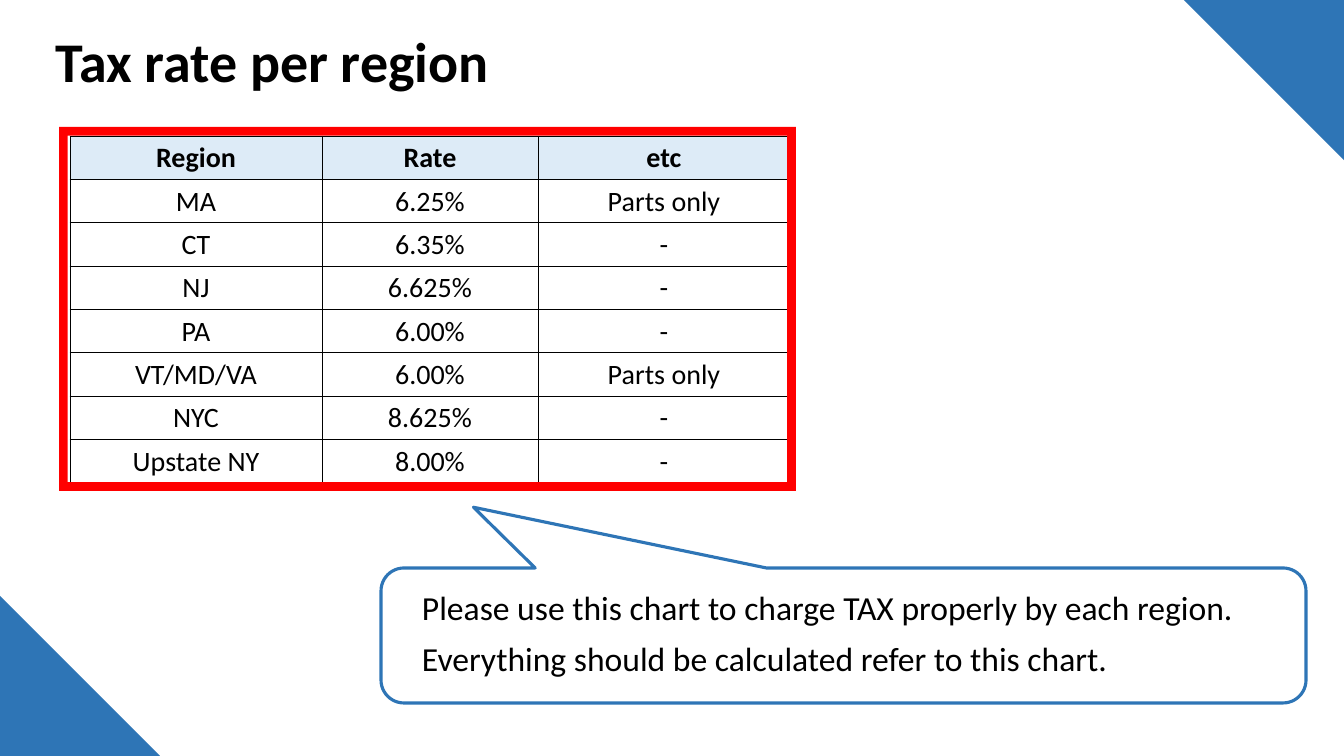
from lxml import etree
from pptx import Presentation
from pptx.dml.color import RGBColor
from pptx.enum.shapes import MSO_SHAPE
from pptx.enum.text import MSO_ANCHOR, PP_ALIGN
from pptx.oxml.ns import qn
from pptx.util import Pt

PX = 914400 / 100.8
MIDDLE, TOP = MSO_ANCHOR.MIDDLE, MSO_ANCHOR.TOP
CENTER = PP_ALIGN.CENTER
TRIANGLE, FRAME = MSO_SHAPE.RIGHT_TRIANGLE, MSO_SHAPE.FRAME
CALLOUT = MSO_SHAPE.ROUNDED_RECTANGULAR_CALLOUT
BLUE, RED, BLACK = "2E75B6", "FF0000", "000000"


def px(*lengths):
    return [round(n * PX) for n in lengths]


def add_run(p, text, size, bold=False):
    r = p.add_run()
    r.text = text
    r.font.name, r.font.size, r.font.bold = "Calibri", Pt(size), bold
    r.font.color.rgb = RGBColor.from_string(BLACK)


prs = Presentation()
prs.slide_width, prs.slide_height = px(1344, 756)
s = prs.slides.add_slide(prs.slide_layouts[6])

# Corner triangles, callout outline and red frame
shapes = [
    (TRIANGLE, (1184, 0, 160, 160), 180, [], BLUE, None),
    (TRIANGLE, (0, 596, 160, 160), 0, [], BLUE, None),
    (CALLOUT, (381, 568, 925, 135), 0, [-0.4, -0.95, 0.17], None, BLUE),
    (FRAME, (59, 127, 737, 364), 0, [0.024], RED, None),
]
for kind, box, rotation, adjustments, fill, line in shapes:
    sp = s.shapes.add_shape(kind, *px(*box))
    sp.shadow.inherit = False
    sp.rotation = rotation
    for i, value in enumerate(adjustments):
        sp.adjustments[i] = value
    if fill:
        sp.fill.solid()
        sp.fill.fore_color.rgb = RGBColor.from_string(fill)
    else:
        sp.fill.background()
    if line:
        sp.line.color.rgb = RGBColor.from_string(line)
        sp.line.width = Pt(2.25)
    else:
        sp.line.fill.background()
frame = sp

# Title and callout message
texts = [
    ((46, 26, 1052, 77), MIDDLE, 40, True, 0, ["Tax rate per region"]),
    ((412, 587, 862, 141), TOP, 24, False, 10, [
        "Please use this chart to charge TAX properly by each region.",
        "Everything should be calculated refer to this chart."]),
]
for box, anchor, size, bold, space, lines in texts:
    tf = s.shapes.add_textbox(*px(*box)).text_frame
    tf.word_wrap = True
    tf.vertical_anchor = anchor
    for i, text in enumerate(lines):
        p = tf.add_paragraph() if i else tf.paragraphs[0]
        p.line_spacing = 0.9
        p.space_before = Pt(space)
        add_run(p, text, size, bold)

# Tax table
rows = [
    ("Region", "Rate", "etc"),
    ("MA", "6.25%", "Parts only"),
    ("CT", "6.35%", "-"),
    ("NJ", "6.625%", "-"),
    ("PA", "6.00%", "-"),
    ("VT/MD/VA", "6.00%", "Parts only"),
    ("NYC", "8.625%", "-"),
    ("Upstate NY", "8.00%", "-"),
]
graphic = s.shapes.add_table(len(rows), 3, *px(70, 136, 720, 347))
table = graphic.table
for column, width in zip(table.columns, px(252, 216, 252)):
    column.width = width
for y, row in enumerate(rows):
    for x, text in enumerate(row):
        cell = table.cell(y, x)
        cell.vertical_anchor = MIDDLE
        cell.margin_left, cell.margin_top, cell.margin_right, cell.margin_bottom = px(1, 1, 1, 0)
        p = cell.text_frame.paragraphs[0]
        p.alignment = CENTER
        add_run(p, text, 20, y == 0)
        # Borders come before the fill in the cell properties
        tcPr = cell._tc.get_or_add_tcPr()
        for side in ("a:lnL", "a:lnR", "a:lnT", "a:lnB"):
            ln = etree.SubElement(tcPr, qn(side), w=str(Pt(0.5)))
            fill = etree.SubElement(ln, qn("a:solidFill"))
            etree.SubElement(fill, qn("a:srgbClr"), val=BLACK)
        cell.fill.solid()
        cell.fill.fore_color.rgb = RGBColor.from_string("FFFFFF" if y else "DDEBF7")

# The red frame lies over the table
graphic._element.addnext(frame._element)

prs.save("out.pptx")
